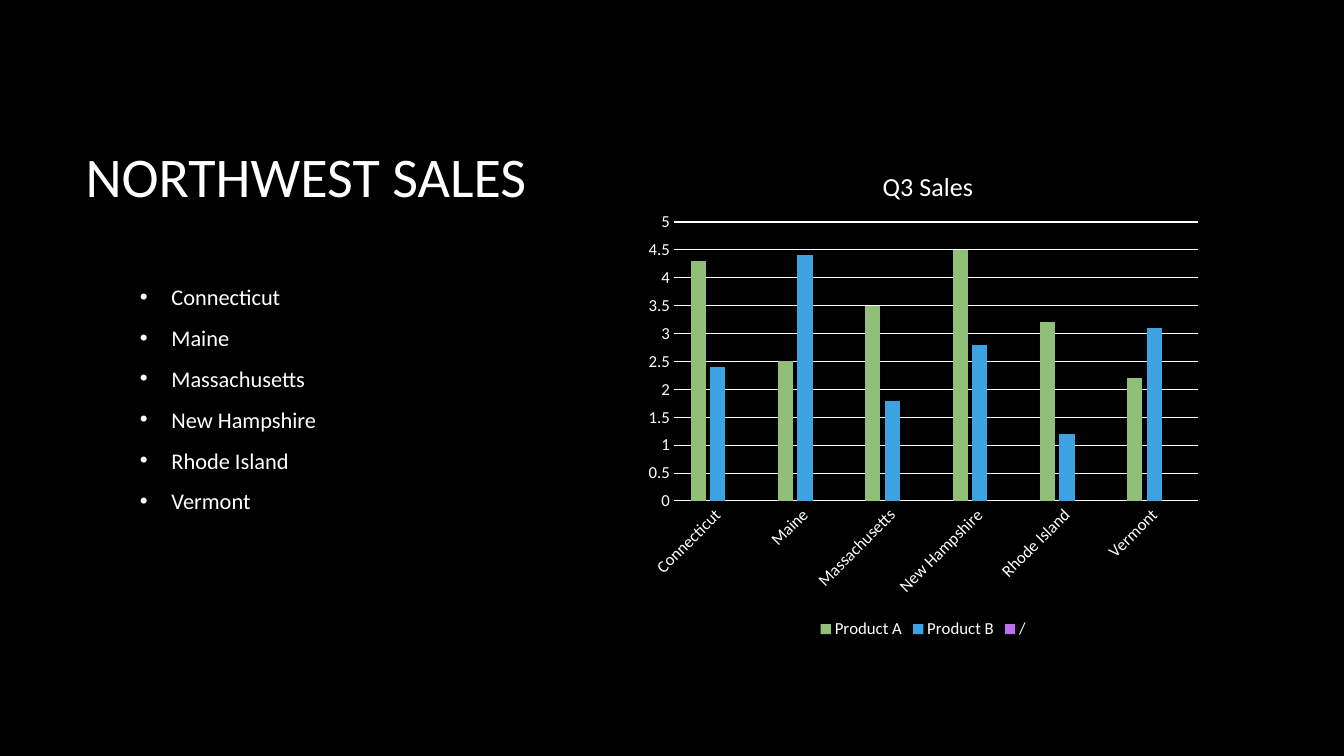
from lxml.etree import SubElement
from pptx import Presentation
from pptx.chart.data import CategoryChartData
from pptx.dml.color import RGBColor
from pptx.enum.chart import XL_CHART_TYPE as ChartType, XL_LEGEND_POSITION as LegendPosition, XL_TICK_MARK as TickMark
from pptx.enum.text import MSO_ANCHOR as Anchor
from pptx.oxml.ns import qn
from pptx.util import Pt

WHITE = "FFFFFF"
CHART_WIDTH, CHART_HEIGHT = 409, 360


def set_format(text, size=12, color=WHITE, name="Calibri", bold=False):
    text.font.size = Pt(size)
    text.font.name = name
    text.font.bold = bold
    text.font.color.rgb = RGBColor.from_string(color)


def place_in_chart(element, index, **lengths):
    for old in element.findall(qn("c:layout")):
        element.remove(old)
    layout = element.makeelement(qn("c:layout"))
    element.insert(index, layout)
    manual = SubElement(layout, qn("c:manualLayout"))
    if "w" in lengths:
        SubElement(manual, qn("c:layoutTarget")).set("val", "inner")
    for key in "xy":
        SubElement(manual, qn(f"c:{key}Mode")).set("val", "edge")
    for key, length in lengths.items():
        whole = CHART_WIDTH if key in "xw" else CHART_HEIGHT
        SubElement(manual, qn(f"c:{key}")).set("val", str(length / whole))


states = ["Connecticut", "Maine", "Massachusetts", "New Hampshire", "Rhode Island", "Vermont"]
products = [
    ("Product A", [4.3, 2.5, 3.5, 4.5, 3.2, 2.2], "91BF77"),
    ("Product B", [2.4, 4.4, 1.8, 2.8, 1.2, 3.1], "3CA2E2"),
    ("/", [None] * len(states), "BC70EE"),
]

presentation = Presentation()
presentation.slide_width = Pt(960)
presentation.slide_height = Pt(540)
slide = presentation.slides.add_slide(presentation.slide_layouts[6])
slide.background.fill.solid()
slide.background.fill.fore_color.rgb = RGBColor.from_string("000000")

title_frame = slide.shapes.add_textbox(Pt(54), Pt(44.6), Pt(367), Pt(108)).text_frame
title_frame.word_wrap = True
title_frame.vertical_anchor = Anchor.BOTTOM
title_run = title_frame.paragraphs[0].add_run()
title_run.text = "NORTHWEST SALES"
set_format(title_run, size=40)

list_frame = slide.shapes.add_textbox(Pt(92.9), Pt(198.7), Pt(290), Pt(201)).text_frame
list_frame.word_wrap = True
for number, state in enumerate(states):
    paragraph = list_frame.add_paragraph() if number else list_frame.paragraphs[0]
    paragraph.space_after = Pt(10)
    run = paragraph.add_run()
    run.text = state
    set_format(run, size=16)
    properties = paragraph._p.get_or_add_pPr()
    properties.set("marL", str(Pt(22.5)))
    properties.set("indent", str(Pt(-22.5)))
    bullet_color = SubElement(properties, qn("a:buClr"))
    SubElement(bullet_color, qn("a:srgbClr")).set("val", WHITE)
    SubElement(properties, qn("a:buFont")).set("typeface", "Arial")
    SubElement(properties, qn("a:buChar")).set("char", "•")

chart_data = CategoryChartData()
chart_data.categories = states
for name, values, color in products:
    chart_data.add_series(name, values)
chart = slide.shapes.add_chart(
    ChartType.COLUMN_CLUSTERED, Pt(455), Pt(99.4), Pt(CHART_WIDTH), Pt(CHART_HEIGHT), chart_data
).chart
set_format(chart, size=10)

chart_title = chart.chart_title
sales_run = chart_title.text_frame.paragraphs[0].add_run()
sales_run.text = "Q3 Sales"
set_format(sales_run, size=18.6)
place_in_chart(chart_title._element, 1, x=172, y=17.5)

plot = chart.plots[0]
plot.gap_width = 219
plot.overlap = -27
plot.vary_by_categories = False
place_in_chart(chart._chartSpace.chart.plotArea, 0, x=26.4, y=59.2, w=374.3, h=199.3)
for series, (name, values, color) in zip(plot.series, products):
    series.format.fill.solid()
    series.format.fill.fore_color.rgb = RGBColor.from_string(color)

state_axis, value_axis = chart.category_axis, chart.value_axis
for axis in (state_axis, value_axis):
    axis.major_tick_mark = axis.minor_tick_mark = TickMark.NONE
    set_format(axis.tick_labels)
state_axis._element.find(qn("c:txPr")).find(qn("a:bodyPr")).set("rot", "-2700000")
value_axis.minimum_scale, value_axis.maximum_scale, value_axis.major_unit = 0, 5, 0.5
value_axis.format.line.fill.background()
for line in (state_axis.format.line, value_axis.major_gridlines.format.line):
    line.width = Pt(0.75)
    line.color.rgb = RGBColor.from_string(WHITE)

chart.has_legend = True
chart.legend.position = LegendPosition.BOTTOM
chart.legend.include_in_layout = False
set_format(chart.legend)

presentation.save("out.pptx")
